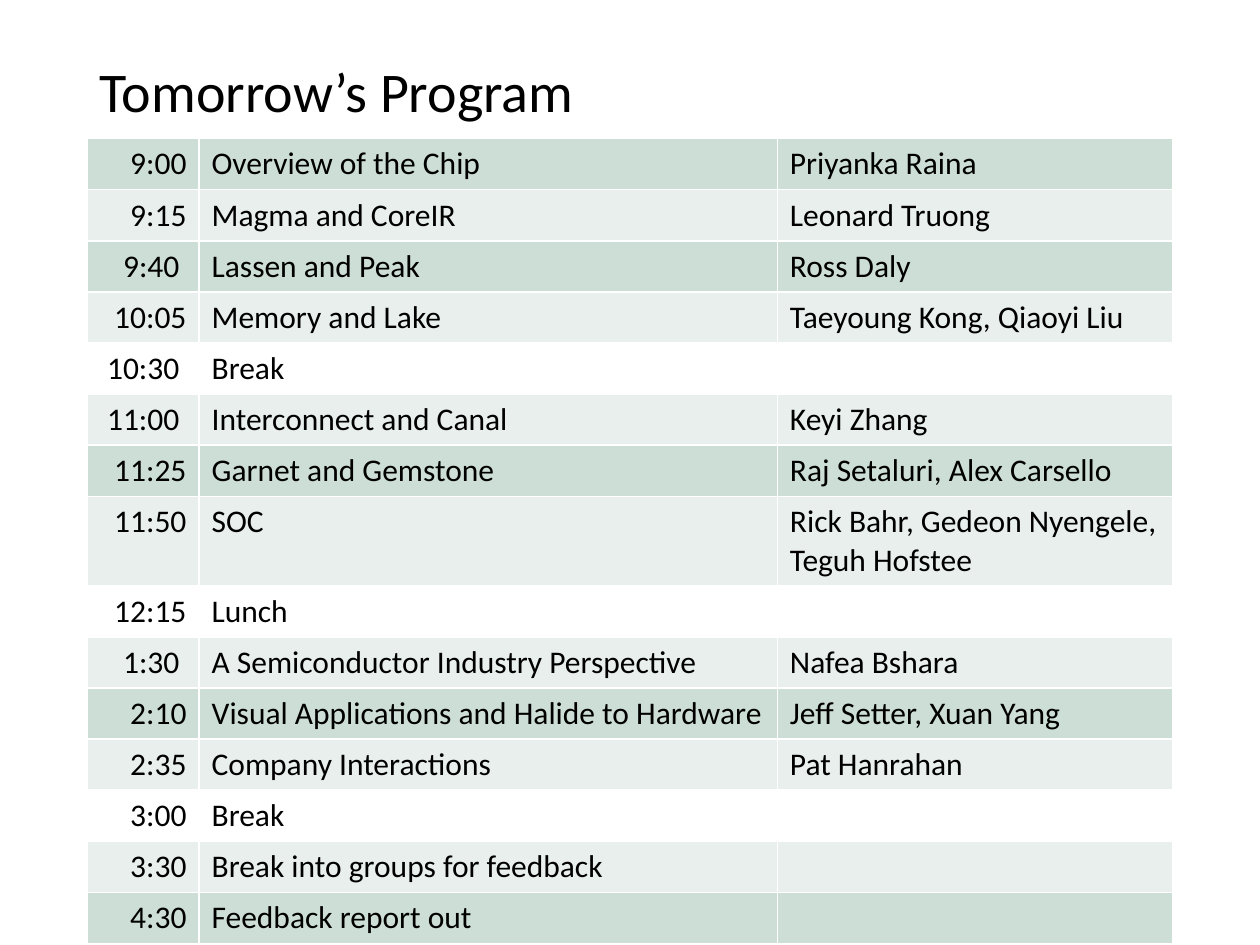
from lxml import etree
from pptx import Presentation
from pptx.dml.color import RGBColor
from pptx.enum.text import MSO_ANCHOR, MSO_AUTO_SIZE, PP_ALIGN
from pptx.oxml.ns import qn
from pptx.util import Inches, Pt

LEFT, RIGHT = PP_ALIGN.LEFT, PP_ALIGN.RIGHT
MIDDLE = MSO_ANCHOR.MIDDLE
NO_AUTOFIT = MSO_AUTO_SIZE.NONE
TITLE_ONLY = 5

FONT = "Calibri"
COLORS = {
    "text": "000000",
    "border": "FFFFFF",
    "pause": "FFFFFF",
    "dark_band": "CDDED6",
    "light_band": "E8EFEC",
}
MARGIN = 0.69
COLUMN_WIDTHS = (0.89, 4.59, 3.14)
CONTENT_WIDTH = sum(COLUMN_WIDTHS)
ROW_HEIGHT = 0.3
PAUSES = {"Break", "Lunch"}
PROGRAM = [
    ("9:00", "Overview of the Chip", "Priyanka Raina"),
    ("9:15", "Magma and CoreIR", "Leonard Truong"),
    ("9:40 ", "Lassen and Peak", "Ross Daly"),
    ("10:05", "Memory and Lake", "Taeyoung Kong, Qiaoyi Liu"),
    ("10:30 ", "Break", ""),
    ("11:00 ", "Interconnect and Canal", "Keyi Zhang"),
    ("11:25", "Garnet and Gemstone", "Raj Setaluri, Alex Carsello"),
    ("11:50", "SOC", "Rick Bahr, Gedeon Nyengele, Teguh Hofstee"),
    ("12:15", "Lunch", ""),
    ("1:30 ", "A Semiconductor Industry Perspective", "Nafea Bshara"),
    ("2:10", "Visual Applications and Halide to Hardware", "Jeff Setter, Xuan Yang"),
    ("2:35", "Company Interactions", "Pat Hanrahan"),
    ("3:00", "Break", ""),
    ("3:30", "Break into groups for feedback", ""),
    ("4:30", "Feedback report out", ""),
]


def format_paragraph(paragraph, size, alignment):
    paragraph.alignment = alignment
    for font in [paragraph.font] + [run.font for run in paragraph.runs]:
        font.name = FONT
        font.size = Pt(size)
        font.color.rgb = RGBColor.from_string(COLORS["text"])


def add_title(slide, text):
    title = slide.shapes.title
    title.left, title.top = Inches(MARGIN), Inches(0.54)
    title.width, title.height = Inches(CONTENT_WIDTH), Inches(0.41)
    frame = title.text_frame
    frame.text = text
    frame.auto_size = NO_AUTOFIT
    frame.vertical_anchor = MIDDLE
    paragraph = frame.paragraphs[0]
    paragraph.line_spacing = 0.9
    format_paragraph(paragraph, 32, LEFT)


def add_borders(cell):
    properties = cell._tc.get_or_add_tcPr()
    for side in ("a:lnL", "a:lnR", "a:lnT", "a:lnB"):
        line = etree.SubElement(properties, qn(side), w=str(Pt(1)))
        fill = etree.SubElement(line, qn("a:solidFill"))
        etree.SubElement(fill, qn("a:srgbClr"), val=COLORS["border"])


def fill_cell(cell, text, color, alignment):
    cell.text_frame.text = text
    format_paragraph(cell.text_frame.paragraphs[0], 18, alignment)
    add_borders(cell)
    cell.fill.solid()
    cell.fill.fore_color.rgb = RGBColor.from_string(color)


def row_color(index, topic):
    if topic in PAUSES:
        return COLORS["pause"]
    return COLORS["light_band" if index % 2 else "dark_band"]


def add_program(slide):
    table = slide.shapes.add_table(
        len(PROGRAM), len(COLUMN_WIDTHS), Inches(MARGIN), Inches(1.1),
        Inches(CONTENT_WIDTH), Inches(ROW_HEIGHT * len(PROGRAM)),
    ).table
    table.first_row = False
    table.horz_banding = False
    for column, width in zip(table.columns, COLUMN_WIDTHS):
        column.width = Inches(width)
    for index, entry in enumerate(PROGRAM):
        color = row_color(index, entry[1])
        for cell, text, alignment in zip(table.rows[index].cells, entry, (RIGHT, LEFT, LEFT)):
            fill_cell(cell, text, color, alignment)


def main():
    presentation = Presentation()
    presentation.slide_width, presentation.slide_height = Inches(10), Inches(7.5)
    slide = presentation.slides.add_slide(presentation.slide_layouts[TITLE_ONLY])
    add_title(slide, "Tomorrow’s Program")
    add_program(slide)
    presentation.save("out.pptx")


if __name__ == "__main__":
    main()
